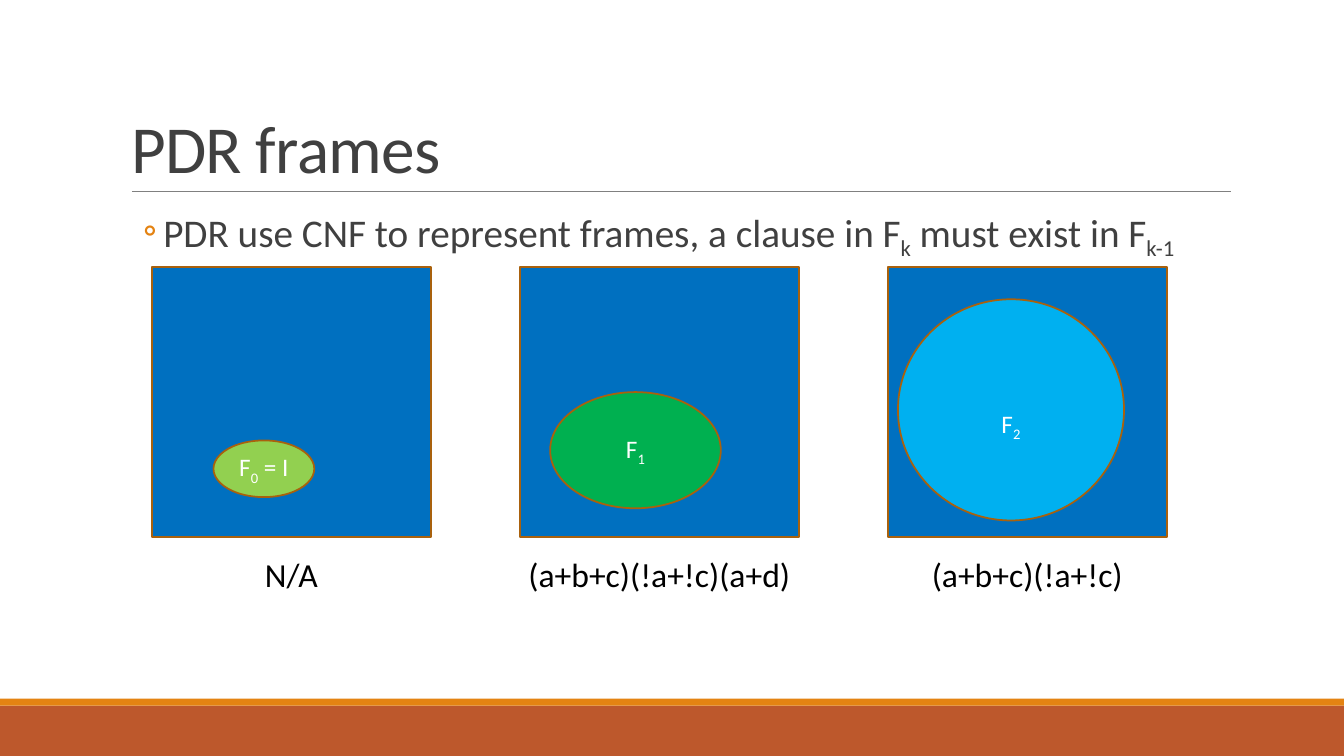
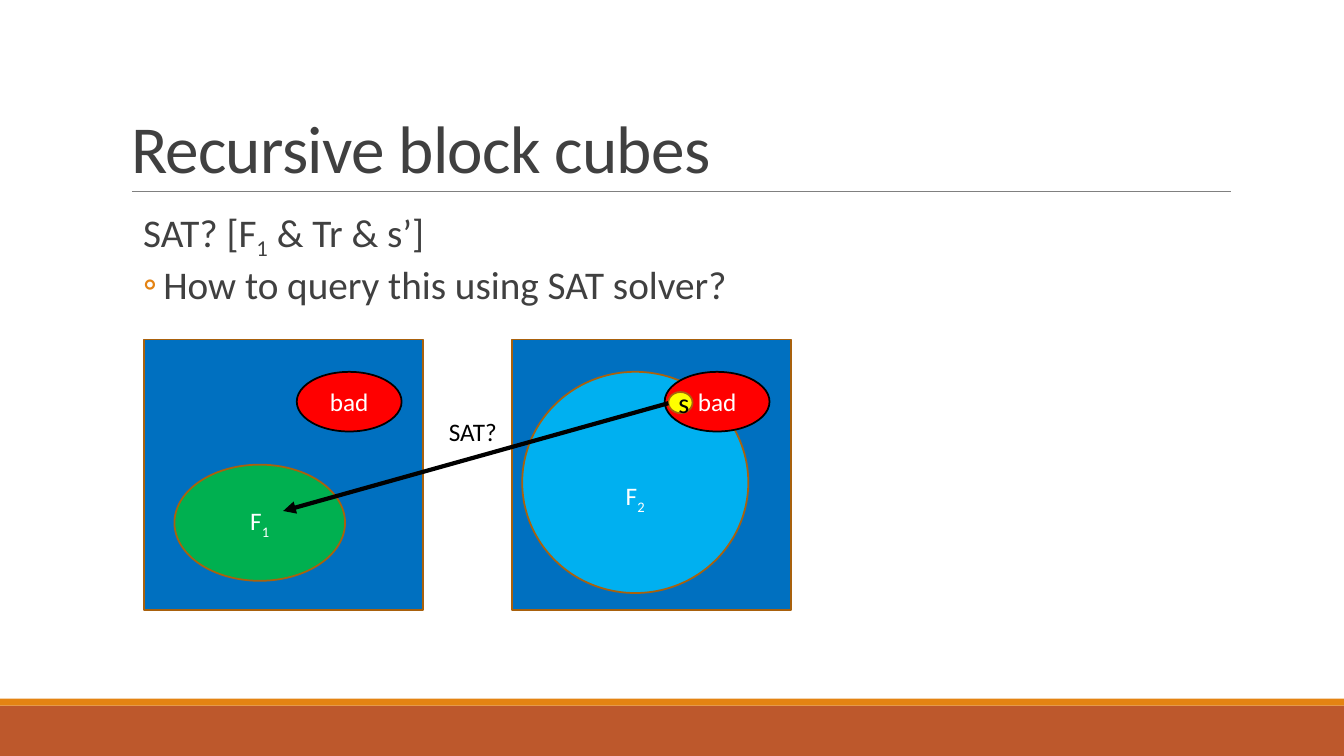
"""Builds two slides on PDR frames and blocking cubes."""
from dataclasses import dataclass

from pptx import Presentation
from pptx import util as u
from pptx.dml.color import RGBColor
from pptx.enum import shapes, text
from pptx.oxml import ns
from lxml import etree as et

FONT = "Calibri"
WHITE = RGBColor(255, 255, 255)
BLACK = RGBColor(0, 0, 0)
GRAY = RGBColor(0x40, 0x40, 0x40)
RULE = RGBColor(0x80, 0x80, 0x80)
RUST = RGBColor(0xBD, 0x58, 0x2C)
AMBER = RGBColor(0xE4, 0x83, 0x12)
BROWN = RGBColor(0xA9, 0x61, 0x0D)
BLUE = RGBColor(0x00, 0x70, 0xC0)
SKY = RGBColor(0x00, 0xB0, 0xF0)
LIME = RGBColor(0x92, 0xD0, 0x50)
GREEN = RGBColor(0x00, 0xB0, 0x50)
RED = RGBColor(255, 0, 0)
YELLOW = RGBColor(255, 255, 0)

WIDE, HIGH = 960, 540
SIDE, TALL, STEP = 199.2, 193, 262.8
RECT, OVAL = shapes.MSO_SHAPE.RECTANGLE, shapes.MSO_SHAPE.OVAL


@dataclass(frozen=True)
class Oval:
    """A state set, placed relative to its frame."""
    label: str
    x: float
    y: float
    w: float
    h: float
    fill: RGBColor
    edge: RGBColor = BROWN
    ink: RGBColor = WHITE
    size: float = 18
    left: float = 0
    top: float = 0


@dataclass(frozen=True)
class Frame:
    """A square state space with its sets and caption."""
    ovals: tuple[Oval, ...]
    note: str = ""
    width: float = 0


@dataclass(frozen=True)
class Item:
    """A body line."""
    words: str
    dot: bool = True


INIT = Oval("F|0| = I", 43.9, 123.8, 72, 40.5, LIME)
FIRST = Oval("F|1", 21.6, 89.3, 121.9, 83, GREEN)
NEXT = Oval("F|2", 7.2, 23, 161.5, 158, SKY, top=22)
BAD = Oval("bad", 109, 23, 74.9, 42.6, RED, edge=BLACK)
STATE = Oval("s", 111.6, 37.4, 17.3, 15.1, YELLOW, ink=BLACK, size=20, left=5)


def write(para, words: str, size: float, ink: RGBColor, space: int = 0) -> None:
    """Add runs; every second part between bars is a subscript."""
    for i, part in enumerate(words.split("|")):
        run = para.add_run()
        run.text = part
        run.font.name, run.font.size = FONT, u.Pt(size)
        run.font.color.rgb = ink
        props = run._r.get_or_add_rPr()
        if i % 2:
            props.set("baseline", "-25000")
        if space:
            props.set("spc", str(space))


def place(shape, x: float, y: float, w: float, h: float) -> None:
    """Move and size a shape."""
    shape.left, shape.top = u.Pt(x), u.Pt(y)
    shape.width, shape.height = u.Pt(w), u.Pt(h)


def block(slide, kind, x: float, y: float, w: float, h: float,
          fill: RGBColor, edge: RGBColor | None = None):
    """Draw a flat filled shape."""
    shape = slide.shapes.add_shape(kind, u.Pt(x), u.Pt(y), u.Pt(w), u.Pt(h))
    shape.shadow.inherit = False
    shape.fill.solid()
    shape.fill.fore_color.rgb = fill
    if edge is None:
        shape.line.fill.background()
    else:
        shape.line.color.rgb, shape.line.width = edge, u.Pt(1.25)
    return shape


def line(slide, x: float, y: float, to_x: float, to_y: float,
         ink: RGBColor, width: float, arrow: bool = False):
    """Draw a straight line, with an arrowhead if asked."""
    link = slide.shapes.add_connector(
        shapes.MSO_CONNECTOR.STRAIGHT, u.Pt(x), u.Pt(y), u.Pt(to_x), u.Pt(to_y))
    link.line.color.rgb, link.line.width = ink, u.Pt(width)
    if arrow:
        et.SubElement(link.line._get_or_add_ln(), ns.qn("a:tailEnd"), type="triangle")
    et.SubElement(link.element.spPr, ns.qn("a:effectLst"))
    return link


def label(slide, words: str, x: float, y: float, w: float, h: float, size: float) -> None:
    """Add a centred one-line text."""
    box = slide.shapes.add_textbox(u.Pt(x), u.Pt(y), u.Pt(w), u.Pt(h))
    box.text_frame.word_wrap = False
    para = box.text_frame.paragraphs[0]
    para.alignment = text.PP_ALIGN.CENTER
    write(para, words, size, BLACK)


def oval(slide, item: Oval, x: float, y: float) -> None:
    """Draw a set inside the frame at x, y."""
    shape = block(slide, OVAL, x + item.x, y + item.y, item.w, item.h, item.fill, item.edge)
    body = shape.text_frame
    body.word_wrap = False
    body.vertical_anchor = text.MSO_ANCHOR.MIDDLE
    body.margin_left, body.margin_top = u.Pt(item.left), u.Pt(item.top)
    body.margin_right = body.margin_bottom = 0
    para = body.paragraphs[0]
    para.alignment = text.PP_ALIGN.CENTER
    write(para, item.label, item.size, item.ink)


def row(slide, frames: list[Frame], x: float, y: float) -> None:
    """Draw frames side by side at an equal step."""
    for i, frame in enumerate(frames):
        left = x + i * STEP
        block(slide, RECT, left, y, SIDE, TALL, BLUE, BROWN)
        for item in frame.ovals:
            oval(slide, item, left, y)
        if frame.note:
            label(slide, frame.note, left + (SIDE - frame.width) / 2,
                  y + TALL + 8, frame.width, 36, 24)


def bullet(para, dot: bool) -> None:
    """Set the indent and the bullet of a body line."""
    props = para._p.get_or_add_pPr()
    props.set("marL", str(u.Pt(30.24 if dot else 15.84)))
    props.set("indent", str(u.Pt(-14.4 if dot else 0)))
    if not dot:
        et.SubElement(props, ns.qn("a:buNone"))
        return
    tint = et.SubElement(props, ns.qn("a:buClr"))
    et.SubElement(tint, ns.qn("a:srgbClr"), val=str(AMBER))
    et.SubElement(props, ns.qn("a:buFont"), typeface=FONT)
    et.SubElement(props, ns.qn("a:buChar"), char="◦")


def page(deck, title: str, items: list[Item]):
    """Add a slide with its title and body."""
    slide = deck.slides.add_slide(deck.slide_layouts[1])
    head, body = slide.placeholders
    place(head, 86.4, 22.5, 792, 114.5)
    head.text_frame.vertical_anchor = text.MSO_ANCHOR.BOTTOM
    head.text_frame.auto_size = text.MSO_AUTO_SIZE.NONE
    para = head.text_frame.paragraphs[0]
    para.alignment, para.line_spacing = text.PP_ALIGN.LEFT, 0.85
    write(para, title, 48, GRAY, -50)

    place(body, 86.4, 145.4, 792, 316.8)
    area = body.text_frame
    area.auto_size = text.MSO_AUTO_SIZE.NONE
    area.margin_left = area.margin_right = 0
    for i, item in enumerate(items):
        para = area.add_paragraph() if i else area.paragraphs[0]
        para.level, para.line_spacing = 1, 0.9
        para.space_before, para.space_after = u.Pt(2), u.Pt(4)
        bullet(para, item.dot)
        write(para, item.words, 28, GRAY)
    return slide


def dress(deck, slide) -> None:
    """Move the bands and the title rule to the shared layout."""
    parts = (block(slide, RECT, 0, 504, WIDE, 36, RUST),
             block(slide, RECT, 0, 499, WIDE, 5, AMBER),
             line(slide, 94.3, 136.8, 879.1, 136.8, RULE, 0.5))
    for part in parts:
        deck.slide_layouts[1].shapes.element.append(part.element)


def main() -> None:
    """Build and save the deck."""
    deck = Presentation()
    deck.slide_width, deck.slide_height = u.Pt(WIDE), u.Pt(HIGH)

    slide = page(deck, "PDR frames", [
        Item("PDR use CNF to represent frames, a clause in F|k| must exist in F|k-1")])
    dress(deck, slide)
    row(slide, [Frame((INIT,), "N/A", 52.6),
                Frame((FIRST,), "(a+b+c)(!a+!c)(a+d)", 203.8),
                Frame((NEXT,), "(a+b+c)(!a+!c)", 152.6)], 108.6, 190.8)

    slide = page(deck, "Recursive block cubes", [
        Item("SAT? [F|1| & Tr & s’]", dot=False),
        Item("How to query this using SAT solver?")])
    row(slide, [Frame((BAD, FIRST)), Frame((NEXT, BAD, STATE))], 103, 242.6)
    line(slide, 477.4, 288, 202.3, 365, BLACK, 3, arrow=True)
    label(slide, "SAT?", 313.2, 293.8, 49, 28.8, 18)

    deck.save("out.pptx")


main()
